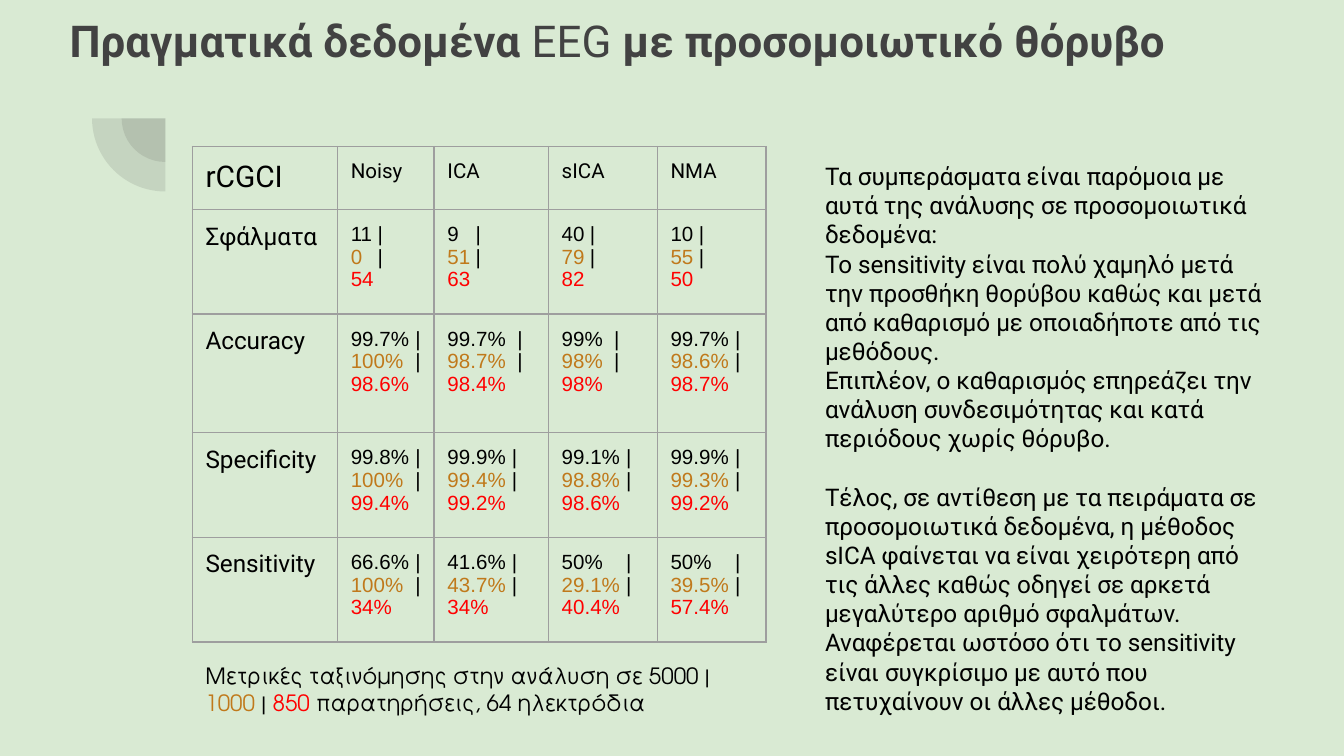
import pptx
import pptx.dml.color
import pptx.enum.shapes
import pptx.oxml
import pptx.oxml.ns
import pptx.util
from pptx.util import Inches

COLORS = {
    "background": "D9EAD3",
    "title": "424242",
    "text": "000000",
    "medium": "C0791B",
    "short": "FF0000",
    "border": "9E9E9E",
}
NAMESPACE = pptx.oxml.ns.nsdecls("a")


def add_run(paragraph, text, size, font="Roboto", color="text", bold=False):
    run = paragraph.add_run()
    run.text = text
    run.font.size = pptx.util.Pt(size)
    run.font.name = font
    run.font.bold = bold
    run.font.color.rgb = pptx.dml.color.RGBColor.from_string(COLORS[color])


def add_text_frame(slide, left, top, width, height):
    text_frame = slide.shapes.add_textbox(
        Inches(left), Inches(top), Inches(width), Inches(height)).text_frame
    text_frame.word_wrap = True
    text_frame.margin_left = text_frame.margin_right = Inches(0.1)
    text_frame.margin_top = text_frame.margin_bottom = Inches(0.1)
    return text_frame


presentation = pptx.Presentation()
presentation.slide_width = Inches(10)
presentation.slide_height = Inches(10 * 9 / 16)
slide = presentation.slides.add_slide(presentation.slide_layouts[6])
background = slide.background.fill
background.solid()
background.fore_color.rgb = pptx.dml.color.RGBColor.from_string(COLORS["background"])

center_x, center_y = 1.23, 0.88
for diameter in (0.65, 1.09):
    quarter = slide.shapes.add_shape(
        pptx.enum.shapes.MSO_SHAPE.PIE,
        Inches(center_x - diameter / 2), Inches(center_y - diameter / 2),
        Inches(diameter), Inches(diameter))
    quarter.rotation = 270
    quarter.adjustments[0] = 108
    quarter.adjustments[1] = 162
    quarter.shadow.inherit = False
    quarter.line.fill.background()
    quarter.fill.solid()
    quarter.fill.fore_color.rgb = pptx.dml.color.RGBColor.from_string(COLORS["title"])
    quarter_color = quarter._element.spPr.find(".//" + pptx.oxml.ns.qn("a:srgbClr"))
    quarter_color.append(pptx.oxml.parse_xml(f'<a:alpha {NAMESPACE} val="13000"/>'))

title = add_text_frame(slide, 0.42, 0, 9.58, 1.09).paragraphs[0]
for text, bold in (("Πραγματικά δεδομένα ", True), ("EEG ", False),
                   ("με προσομοιωτικό θόρυβο", True)):
    add_run(title, text, 23.5, color="title", bold=bold)

header = ["rCGCI", "Noisy", "ICA", "sICA", "NMA"]
metrics = [
    ("Σφάλματα", [0.2, 0.21, 0.21, 0.21],
     ["11 0 54", "9 51 63", "40 79 82", "10 55 50"]),
    ("Accuracy", [0.48, 0.52, 0.39, 0.48],
     ["99.7% 100% 98.6%", "99.7% 98.7% 98.4%", "99% 98% 98%", "99.7% 98.6% 98.7%"]),
    ("Specificity", [0.48, 0.48, 0.48, 0.48],
     ["99.8% 100% 99.4%", "99.9% 99.4% 99.2%",
      "99.1% 98.8% 98.6%", "99.9% 99.3% 99.2%"]),
    ("Sensitivity", [0.48, 0.48, 0.48, 0.48],
     ["66.6% 100% 34%", "41.6% 43.7% 34%", "50% 29.1% 40.4%", "50% 39.5% 57.4%"]),
]
column_widths = [1.08, 0.72, 0.85, 0.81, 0.81]
row_heights = [0.46, 0.78, 0.88, 0.78, 0.78]
table = slide.shapes.add_table(
    len(row_heights), len(column_widths), Inches(1.43), Inches(1.09),
    Inches(sum(column_widths)), Inches(sum(row_heights))).table
table.first_row = False
table.horz_banding = False
for column, width in zip(table.columns, column_widths):
    column.width = Inches(width)
for row, height in zip(table.rows, row_heights):
    row.height = Inches(height)

for cell in table.iter_cells():
    cell.margin_left = cell.margin_top = cell.margin_bottom = Inches(0.1)
    cell.margin_right = Inches(0.05)
    cell_properties = cell._tc.get_or_add_tcPr()
    for side in ("lnL", "lnR", "lnT", "lnB"):
        cell_properties.append(pptx.oxml.parse_xml(
            f'<a:{side} {NAMESPACE} w="9525"><a:solidFill>'
            f'<a:srgbClr val="{COLORS["border"]}"/></a:solidFill></a:{side}>'))
    cell.fill.background()

for index, name in enumerate(header):
    add_run(table.cell(0, index).text_frame.paragraphs[0], name, 11 if index else 16)

for row_index, (metric, bar_positions, results) in enumerate(metrics, 1):
    add_run(table.cell(row_index, 0).text_frame.paragraphs[0], metric, 13)
    for column_index, (bar_position, result) in enumerate(zip(bar_positions, results), 1):
        text_frame = table.cell(row_index, column_index).text_frame
        for line, (value, color) in enumerate(
                zip(result.split(), ("text", "medium", "short"))):
            paragraph = text_frame.add_paragraph() if line else text_frame.paragraphs[0]
            if color != "short":
                paragraph._p.get_or_add_pPr().append(pptx.oxml.parse_xml(
                    f'<a:tabLst {NAMESPACE}><a:tab pos="{Inches(bar_position)}" '
                    'algn="l"/></a:tabLst>'))
            add_run(paragraph, value, 11, "Arial", color)
            if color != "short":
                add_run(paragraph, "\t|", 11, "Arial")

caption = add_text_frame(slide, 1.43, 4.83, 4.32, 0.61).paragraphs[0]
for text, color in (("Μετρικές ταξινόμησης στην ανάλυση σε 5000 | ", "text"),
                    ("1000 ", "medium"), ("| ", "text"), ("850 ", "short"),
                    ("παρατηρήσεις, 64 ηλεκτρόδια", "text")):
    add_run(caption, text, 12, "TeX Gyre Adventor", color)

conclusions = [
    "Τα συμπεράσματα είναι παρόμοια με αυτά της ανάλυσης σε προσομοιωτικά δεδομένα:",
    "Το sensitivity είναι πολύ χαμηλό μετά την προσθήκη θορύβου καθώς και μετά "
    "από καθαρισμό με οποιαδήποτε από τις μεθόδους.",
    "Επιπλέον, ο καθαρισμός επηρεάζει την ανάλυση συνδεσιμότητας και κατά "
    "περιόδους χωρίς θόρυβο.",
    "Τέλος, σε αντίθεση με τα πειράματα σε προσομοιωτικά δεδομένα, η μέθοδος sICA "
    "φαίνεται να είναι χειρότερη από τις άλλες καθώς οδηγεί σε αρκετά μεγαλύτερο "
    "αριθμό σφαλμάτων. Αναφέρεται ωστόσο ότι το sensitivity είναι συγκρίσιμο με "
    "αυτό που πετυχαίνουν οι άλλες μέθοδοι.",
]
text_frame = add_text_frame(slide, 6.04, 1.1, 3.49, 3.92)
for index, conclusion in enumerate(conclusions):
    paragraph = text_frame.add_paragraph() if index else text_frame.paragraphs[0]
    add_run(paragraph, conclusion, 13)
paragraph.space_before = pptx.util.Pt(15.6)

presentation.save("out.pptx")
